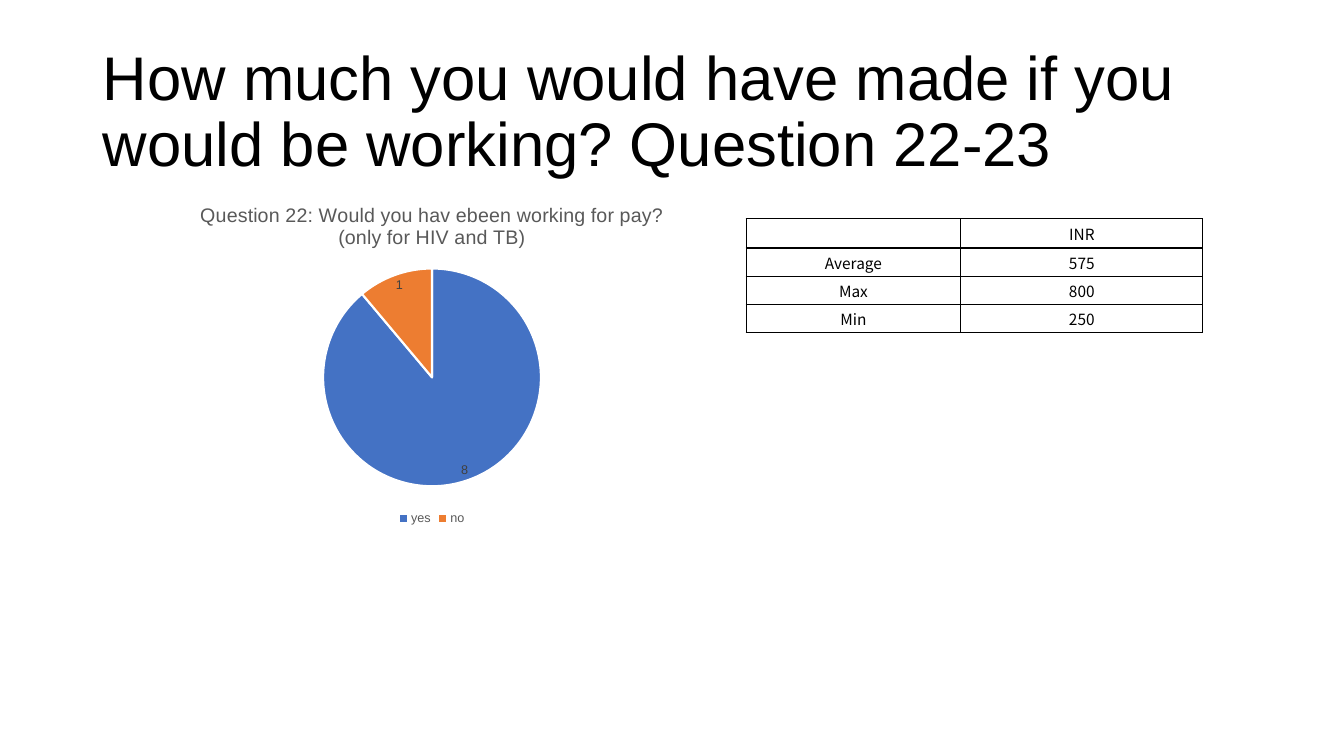
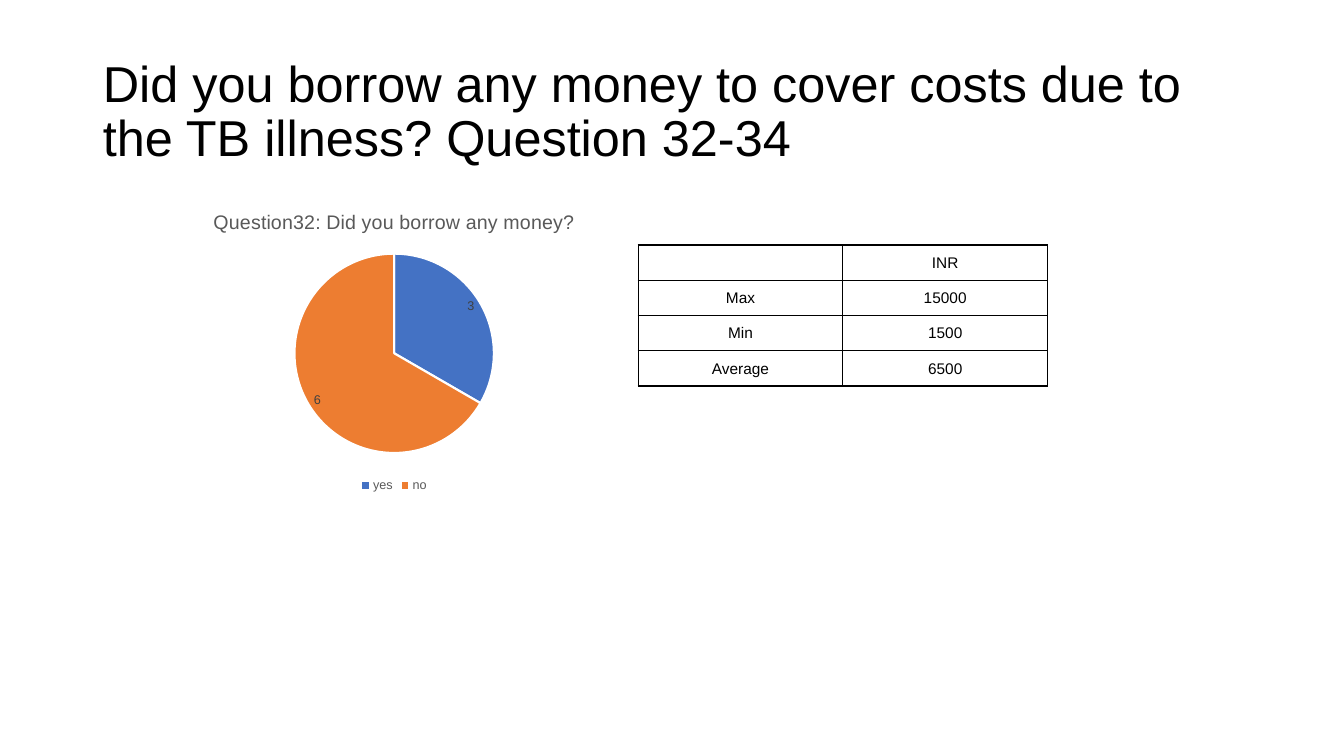
from lxml import etree
from pptx import Presentation
from pptx.chart.data import CategoryChartData
from pptx.dml.color import RGBColor
from pptx.enum.chart import XL_CHART_TYPE, XL_LABEL_POSITION, XL_LEGEND_POSITION
from pptx.enum.text import MSO_ANCHOR, MSO_AUTO_SIZE, PP_ALIGN
from pptx.oxml.ns import qn
from pptx.util import Inches, Pt

PIE = XL_CHART_TYPE.PIE
BEST = XL_LABEL_POSITION.BEST_FIT
BOTTOM = XL_LEGEND_POSITION.BOTTOM
MIDDLE = MSO_ANCHOR.MIDDLE
LEFT, CENTER = PP_ALIGN.LEFT, PP_ALIGN.CENTER
NO_FIT = MSO_AUTO_SIZE.NONE

BLACK, WHITE, GREY, DARK = "000000", "FFFFFF", "595959", "404040"
SLICES = ["4472C4", "ED7D31"]
ANSWERS = ["yes", "no"]
FACE = "Arial"
TITLE_BOX = (0.92, 0.4, 11.5, 1.45)
INSETS = {"margin_left": 0.01, "margin_right": 0.01, "margin_top": 0.01, "margin_bottom": 0}

SLIDES = [
    {
        "title": "How much you would have made if you would be working? Question 22-23",
        "size": 44,
        "chart": {
            "box": (1.15, 1.85, 6.27, 3.41),
            "title": "Question 22: Would you hav ebeen working for pay? (only for HIV and TB)",
            "votes": [8, 1],
        },
        "table": {
            "spot": (7.4, 2.17),
            "cols": [2.13, 2.4],
            "row": 0.28,
            "face": "Noto Sans CJK KR",
            "cells": [("", "INR"), ("Average", "575"), ("Max", "800"), ("Min", "250")],
        },
    },
    {
        "title": "Did you borrow any money to cover costs due to the TB illness? Question 32-34",
        "size": 36,
        "chart": {
            "box": (1.41, 1.93, 5, 3),
            "title": "Question32: Did you borrow any money?",
            "votes": [3, 6],
        },
        "table": {
            "spot": (6.33, 2.43),
            "cols": [2.03, 2.03],
            "row": 0.35,
            "face": FACE,
            "cells": [("", "INR"), ("Max", "15000"), ("Min", "1500"), ("Average", "6500")],
        },
    },
]


def rgb(code):
    return RGBColor.from_string(code)


def style(font, size, color=BLACK, face=FACE):
    for key, value in {"size": Pt(size), "name": face, "bold": False}.items():
        setattr(font, key, value)
    font.color.rgb = rgb(color)


def paint(fill, color):
    fill.solid()
    fill.fore_color.rgb = rgb(color)


def add_title(slide, text, size):
    title = slide.shapes.title
    for key, value in zip(("left", "top", "width", "height"), TITLE_BOX):
        setattr(title, key, Inches(value))
    frame = title.text_frame
    frame.text = text
    for key, value in {"word_wrap": True, "auto_size": NO_FIT, "vertical_anchor": MIDDLE}.items():
        setattr(frame, key, value)
    para = frame.paragraphs[0]
    para.alignment, para.line_spacing = LEFT, 0.9
    style(para.runs[0].font, size)


def add_pie(slide, box, title, votes):
    data = CategoryChartData()
    data.categories = ANSWERS
    data.add_series("Series 1", votes)
    chart = slide.shapes.add_chart(PIE, *map(Inches, box), data).chart
    style(chart.font, 10)
    chart.has_title = True
    frame = chart.chart_title.text_frame
    frame.text = title
    style(frame.paragraphs[0].runs[0].font, 14, GREY)
    chart.chart_title.include_in_layout = False
    chart.has_legend = True
    chart.legend.position = BOTTOM
    chart.legend.include_in_layout = False
    style(chart.legend.font, 9, GREY)
    plot = chart.plots[0]
    plot.vary_by_categories = True
    series = plot.series[0]
    for index, color in enumerate(SLICES):
        form = series.points[index].format
        paint(form.fill, color)
        form.line.color.rgb = rgb(WHITE)
        form.line.width = Pt(1.5)
    labels = series.data_labels
    labels.show_value, labels.position = True, BEST
    style(labels.font, 9, DARK)


def add_edges(cell):
    props = cell._tc.get_or_add_tcPr()
    for index, side in enumerate(("lnL", "lnR", "lnT", "lnB")):
        line = etree.Element(qn("a:" + side), w=str(Pt(1)))
        fill = etree.SubElement(line, qn("a:solidFill"))
        etree.SubElement(fill, qn("a:srgbClr"), val=BLACK)
        props.insert(index, line)


def add_grid(slide, spot, cols, row, face, cells):
    box = (*spot, sum(cols), row * len(cells))
    table = slide.shapes.add_table(len(cells), len(cols), *map(Inches, box)).table
    table.first_row = table.horz_banding = False
    for col, width in zip(table.columns, cols):
        col.width = Inches(width)
    for line, texts in zip(table.rows, cells):
        line.height = Inches(row)
        for cell, text in zip(line.cells, texts):
            for key, value in INSETS.items():
                setattr(cell, key, Inches(value))
            cell.vertical_anchor = MIDDLE
            paint(cell.fill, WHITE)
            add_edges(cell)
            para = cell.text_frame.paragraphs[0]
            para.alignment = CENTER
            run = para.add_run()
            run.text = text
            style(run.font, 11, face=face)


def main():
    deck = Presentation()
    deck.slide_width, deck.slide_height = Inches(13.33), Inches(7.5)
    for page in SLIDES:
        slide = deck.slides.add_slide(deck.slide_layouts[5])
        add_title(slide, page["title"], page["size"])
        add_pie(slide, **page["chart"])
        add_grid(slide, **page["table"])
    deck.save("out.pptx")


if __name__ == "__main__":
    main()
